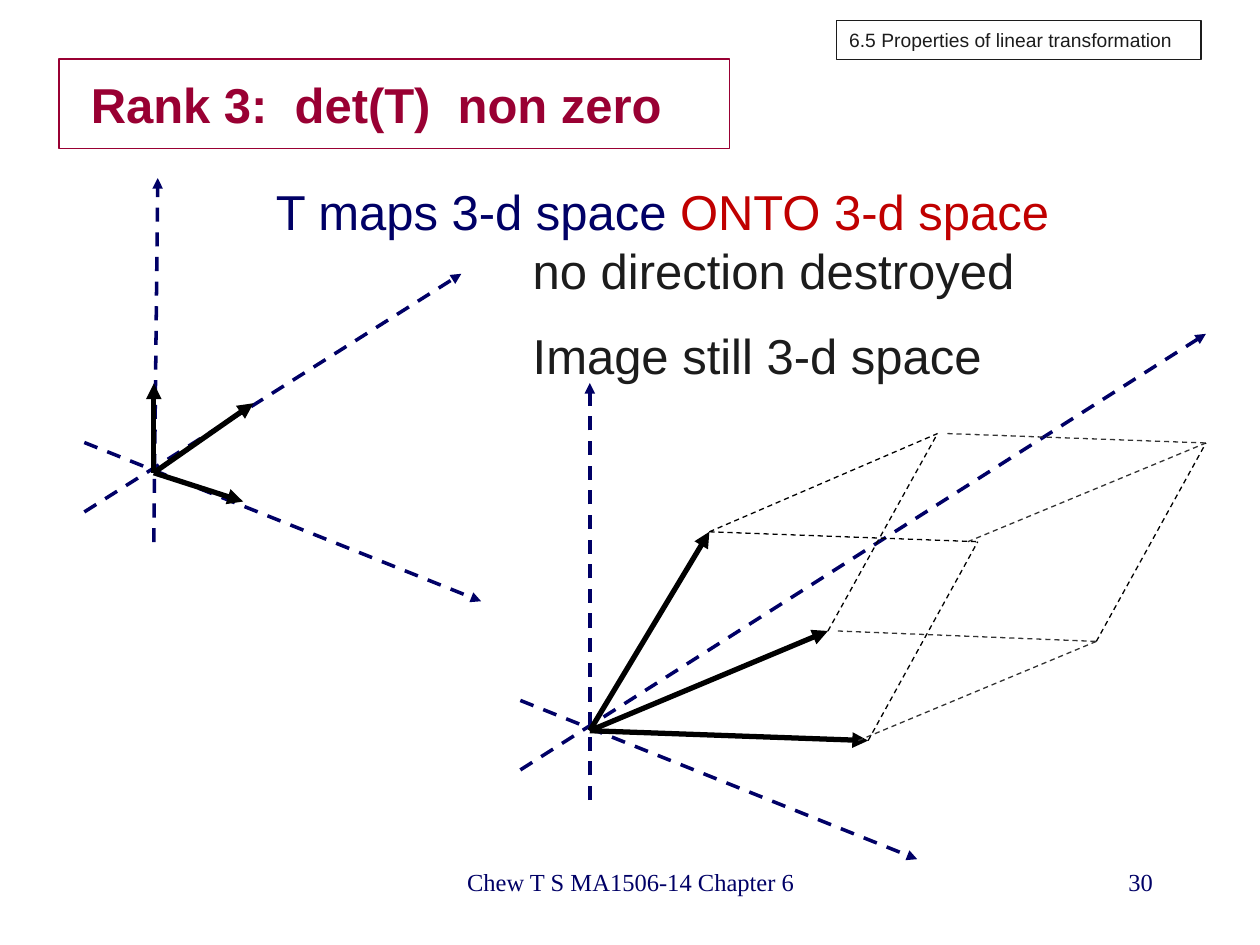
"""Build the slide on rank 3 linear transformations."""
from lxml.etree import SubElement
from pptx import Presentation
from pptx.dml.color import RGBColor
from pptx.enum.dml import MSO_LINE
from pptx.enum.shapes import MSO_CONNECTOR, MSO_SHAPE
from pptx.enum.text import MSO_ANCHOR, MSO_AUTO_SIZE, PP_ALIGN
from pptx.oxml.ns import qn
from pptx.util import Cm, Pt

HUES = {"navy": "000066", "wine": "990033", "red": "C00000",
        "ink": "1C1C1C", "grey": "333333", "black": "000000"}


class Deck:
    """Hold the style and the current slide."""

    def __init__(self):
        self.prs = Presentation()
        self.prs.slide_width, self.prs.slide_height = Cm(25.4), Cm(19.05)
        self.slide = self.prs.slides.add_slide(self.prs.slide_layouts[5])

    def hue(self, name):
        """Return the named colour."""
        return RGBColor.from_string(HUES[name])

    def style(self, run, size, hue, face="Arial", bold=False):
        """Format one run."""
        font = run.font
        font.size, font.name, font.bold = Pt(size), face, bold
        font.color.rgb = self.hue(hue)

    def frame(self, shape, hue):
        """Give a shape a thin outline and no fill."""
        shape.fill.background()
        shape.line.color.rgb = self.hue(hue)
        shape.line.width = Pt(0.75)

    def title(self, text, box):
        """Place the framed title."""
        shape = self.slide.shapes.title
        shape.left, shape.top, shape.width, shape.height = map(Cm, box)
        self.frame(shape, "wine")
        body = shape.text_frame
        body.text = text
        body.auto_size = MSO_AUTO_SIZE.NONE
        body.vertical_anchor = MSO_ANCHOR.MIDDLE
        body.margin_left = Cm(0.64)
        body.paragraphs[0].alignment = PP_ALIGN.LEFT
        self.style(body.paragraphs[0].runs[0], 28, "wine", bold=True)

    def text(self, lines, box, size, face="Arial", align=PP_ALIGN.LEFT, wrap=True):
        """Place lines of text, each a list of (words, hue) parts."""
        body = self.slide.shapes.add_textbox(*map(Cm, box)).text_frame
        body.word_wrap = wrap
        for i, parts in enumerate(lines):
            para = body.add_paragraph() if i else body.paragraphs[0]
            para.alignment = align
            if i:
                para.space_before = Pt(15)
            for words, hue in parts:
                run = para.add_run()
                run.text = words
                self.style(run, size, hue, face)

    def label(self, text, box, size, hue):
        """Place a framed label."""
        shape = self.slide.shapes.add_shape(MSO_SHAPE.RECTANGLE, *map(Cm, box))
        shape.shadow.inherit = False
        self.frame(shape, hue)
        body = shape.text_frame
        body.text = text
        body.vertical_anchor = MSO_ANCHOR.MIDDLE
        body.paragraphs[0].alignment = PP_ALIGN.LEFT
        self.style(body.paragraphs[0].runs[0], size, hue)

    def line(self, base, start, end, hue, width, dash=True, arrow=True):
        """Draw a line between two points measured from a base point."""
        ends = [Cm(b + d) for point in (start, end) for b, d in zip(base, point)]
        wire = self.slide.shapes.add_connector(MSO_CONNECTOR.STRAIGHT, *ends)
        wire.line.color.rgb = self.hue(hue)
        wire.line.width = Pt(width)
        if dash:
            wire.line.dash_style = MSO_LINE.DASH
        props = wire._element.spPr
        if arrow:
            SubElement(props.find(qn("a:ln")), qn("a:tailEnd"), type="triangle")
        SubElement(props, qn("a:effectLst"))

    def space(self, base, depth, height, tips):
        """Draw three dashed axes and three vectors from one base point."""
        axes = [((-1.4, -0.61), (6.6, 2.59)), ((-1.4, 0.79), depth), ((0, 1.4), height)]
        for start, end in axes:
            self.line(base, start, end, "navy", 2)
        for tip in tips:
            self.line(base, (0, 0), tip, "black", 3, dash=False)

    def solid(self, base, spots):
        """Draw the dashed edges between the named corners."""
        edges = [("a", "ab", -0.2), ("b", "ab", 0.2), ("ac", "abc", -0.2),
                 ("bc", "abc", 0.2), ("c", "ac", 0), ("c", "bc", 0),
                 ("a", "ac", 0), ("b", "bc", 0), ("ab", "abc", 0)]
        for start, end, shift in edges:
            x, y = spots[start]
            hue = "grey" if shift else "black"
            self.line(base, (x + shift, y), spots[end], hue, 0.75, arrow=False)


def main():
    """Build and save the slide."""
    deck = Deck()
    deck.title("Rank 3:  det(T)  non zero", (1.19, 1.19, 13.51, 1.8))

    deck.space((3.1, 9.53), (6.2, -4.01), (0.08, -5.94),
               [(1.8, 0.58), (2.01, -1.4), (0, -1.8)])

    base = (11.89, 14.73)
    spots = {"a": (5.61, 0.2), "b": (4.8, -2.01), "c": (2.41, -4.01),
             "ab": (10.21, -1.8), "ac": (7.82, -3.81), "bc": (7.01, -5.99),
             "abc": (12.42, -5.8)}
    deck.space(base, (12.42, -8), (0, -7.01), [spots[key] for key in "abc"])
    deck.solid(base, spots)

    deck.text([[("no direction destroyed", "ink")], [("Image still 3-d space", "ink")]],
              (10.49, 4.72, 12.12, 3.25), 28)
    deck.text([[("T maps 3-d space ", "navy"), ("ONTO 3-d space", "red")]],
              (5.31, 3.53, 16.31, 1.45), 28, wrap=False)
    serif = "Times New Roman"
    deck.text([[("30", "navy")]], (18.21, 17.35, 5.28, 1.27), 14, serif, PP_ALIGN.RIGHT)
    deck.text([[("Chew T S MA1506-14 Chapter 6", "navy")]],
              (8.69, 17.35, 8.05, 1.27), 14, serif, PP_ALIGN.CENTER)
    deck.label("6.5 Properties of linear transformation",
               (16.87, 0.41, 7.34, 0.79), 11, "ink")
    deck.prs.save("out.pptx")


if __name__ == "__main__":
    main()
